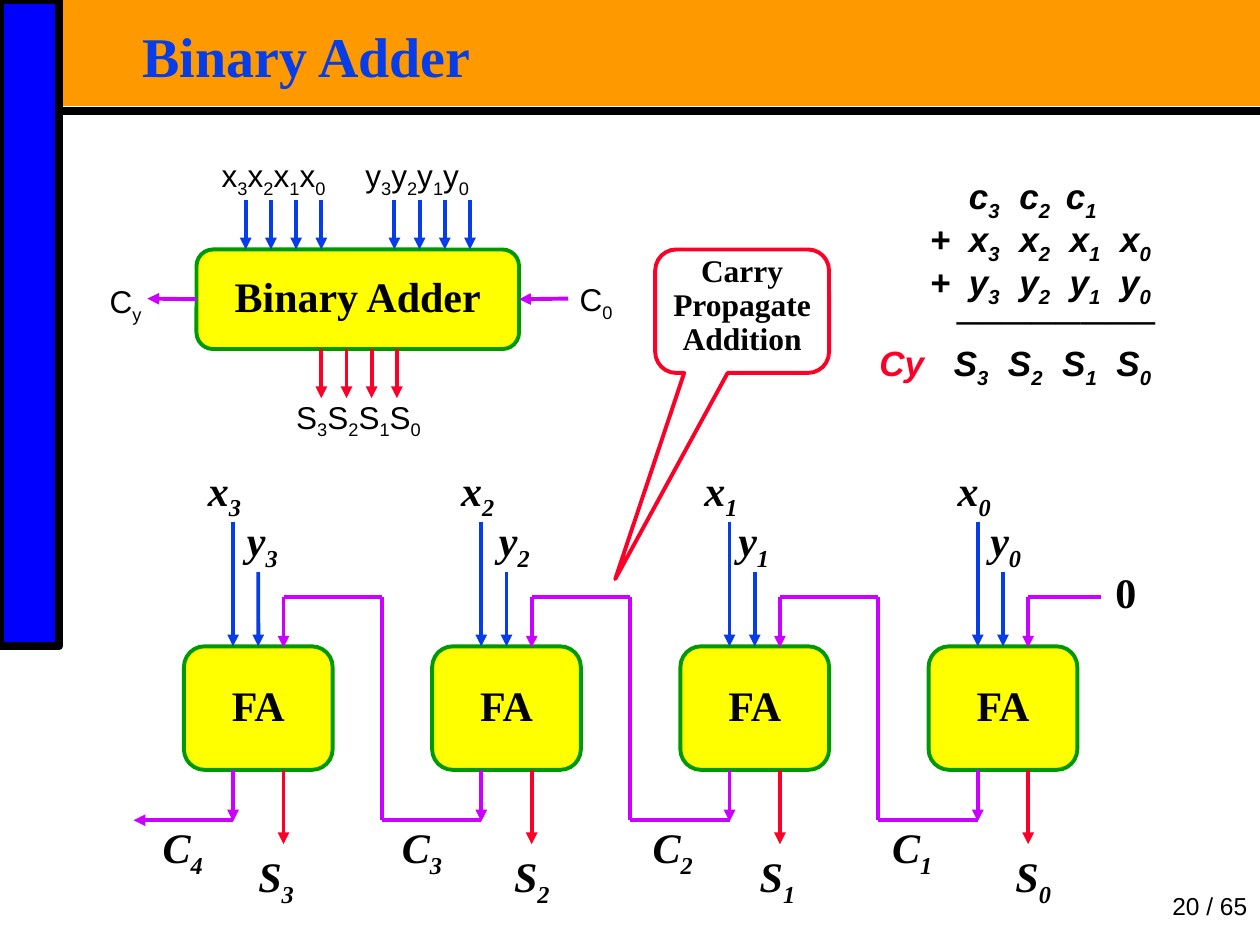
from lxml.etree import SubElement
from pptx import Presentation
from pptx.dml.color import RGBColor
from pptx.enum.shapes import MSO_CONNECTOR, MSO_SHAPE
from pptx.enum.text import MSO_ANCHOR, MSO_AUTO_SIZE, PP_ALIGN
from pptx.oxml.ns import qn
from pptx.util import Inches, Pt

HUES = {
    "band": "FF9900", "side": "0000FF", "ink": "000000", "blue": "063DE8",
    "red": "FC0128", "pink": "CC00FF", "green": "009900", "box": "FFFF00",
}
HUES = {name: RGBColor.from_string(code) for name, code in HUES.items()}
SERIF, SANS = "Times New Roman", "Arial"
LEFT, MID, RIGHT = PP_ALIGN.LEFT, PP_ALIGN.CENTER, PP_ALIGN.RIGHT


def put(shape, rows, size, face, align=LEFT, bold=True, slant=False):
    frame = shape.text_frame
    frame.word_wrap = True
    frame.margin_left = frame.margin_right = 0
    frame.margin_top = frame.margin_bottom = 0
    for i, (text, stops) in enumerate(rows):
        para = frame.add_paragraph() if i else frame.paragraphs[0]
        if stops:
            tabs = SubElement(para._p.get_or_add_pPr(), qn("a:tabLst"))
            for stop in stops:
                SubElement(tabs, qn("a:tab"), pos=str(Inches(stop)), algn="l")
        para.alignment, para.line_spacing = align, 0.9
        font = para.font
        font.size, font.name, font.bold, font.italic = Pt(size), face, bold, slant
        font.color.rgb = HUES["ink"]
        for chunk in text.split("|"):
            head, *parts = chunk.split("_")
            if head:
                para.add_run().text = head
            for part in parts:
                sub = para.add_run()
                sub.text = part[0]
                sub._r.get_or_add_rPr().set("baseline", "-25000")
                if part[1:]:
                    para.add_run().text = part[1:]


def link(x1, y1, x2, y2, hue, tip=True, width=2.25):
    line = shapes.add_connector(
        MSO_CONNECTOR.STRAIGHT, Inches(x1), Inches(y1), Inches(x2), Inches(y2))
    line.line.color.rgb, line.line.width = HUES[hue], Pt(width)
    if tip:
        SubElement(line.line._get_or_add_ln(), qn("a:tailEnd"), type="triangle")
    SubElement(line._element.spPr, qn("a:effectLst"))
    return line


deck = Presentation()
deck.slide_width, deck.slide_height = Inches(10), Inches(7.5)
slide = deck.slides.add_slide(deck.slide_layouts[5])
shapes = slide.shapes

band = shapes.add_shape(MSO_SHAPE.RECTANGLE, Inches(0.47), 0, Inches(9.53), Inches(0.84))
band.line.fill.background()
side = shapes.add_shape(MSO_SHAPE.RECTANGLE, 0, 0, Inches(0.47), Inches(5.13))
side.line.color.rgb, side.line.width = HUES["ink"], Pt(4.5)
for bar, hue in ((band, "band"), (side, "side")):
    bar.shadow.inherit = False
    bar.fill.solid()
    bar.fill.fore_color.rgb = HUES[hue]
link(0.47, 0.88, 10, 0.88, "ink", False, 4.5)

title = shapes.title
title.left, title.top, title.width, title.height = map(Inches, (1.06, 0.21, 8.66, 0.52))
put(title, [("Binary Adder", ())], 32, SERIF)
title.text_frame.margin_left = title.text_frame.margin_right = Inches(0.07)
title.text_frame.auto_size = MSO_AUTO_SIZE.NONE
title.text_frame.vertical_anchor = MSO_ANCHOR.MIDDLE
title.text_frame.paragraphs[0].font.color.rgb = HUES["blue"]
shapes._spTree.append(title._element)

pitch, first, wide = 1.97, 1.46, 1.18
blocks = [("FA", first + pitch * i, 5.13, wide, 0.98) for i in range(4)]
blocks.append(("Binary Adder", 1.56, 1.98, 2.56, 0.79))
made = []
for text, *spot in blocks:
    block = shapes.add_shape(MSO_SHAPE.ROUNDED_RECTANGLE, *map(Inches, spot))
    block.shadow.inherit = False
    block.fill.solid()
    block.fill.fore_color.rgb = HUES["box"]
    block.line.color.rgb, block.line.width = HUES["green"], Pt(2.25)
    block.text_frame.vertical_anchor = MSO_ANCHOR.MIDDLE
    put(block, [(text, ())], 24, SERIF, MID)
    made.append(block)
*cells, adder = made

for i, cell in enumerate(cells):
    mid = first + pitch * i + wide / 2
    west, east = mid - 0.2, mid + 0.2
    link(west, 4.14, west, 5.13, "blue")
    link(mid, 4.54, mid, 5.13, "blue").end_connect(cell, 0)
    link(east, 4.74, east, 5.14, "pink")
    link(east, 6.11, east, 6.7, "red")
    link(west, 6.11, west, 6.52, "pink")
    link(west, 6.51, west - 0.79, 6.51, "pink", i == 0)
    if i:
        link(west - 0.79, 6.51, west - 0.79, 4.74, "pink", False)
        link(west - 0.79, 4.74, east - pitch, 4.74, "pink", False)
link(8.74, 4.74, east, 4.74, "pink", False)

for start, top, end, hue in (
        (1.95, 1.59, 1.98, "blue"), (3.13, 1.59, 1.98, "blue"), (2.55, 2.77, 3.16, "red")):
    for i in range(4):
        x = start + 0.2 * i
        link(x, top, x, end, hue)
link(4.51, 2.37, 4.12, 2.37, "pink").end_connect(adder, 3)
link(1.56, 2.37, 1.17, 2.37, "pink").begin_connect(adder, 1)

serif = (24, SERIF, LEFT, True, True)
sans = (18, SANS, LEFT, False)
notes = [
    ("x_3\tx_2\tx_1\tx_0", (2.01, 3.94, 5.95), 1.65, 3.69, 6.5, 0.36, serif),
    ("y_3\ty_2\ty_1\ty_0", (2, 3.9, 5.9), 1.96, 4.09, 6.5, 0.36, serif),
    ("S_3\tS_2\tS_1\tS_0", (2.03, 3.98, 6.01), 2.05, 6.76, 6.5, 0.36, serif),
    ("C_4\tC_3\tC_2\tC_1", (1.9, 3.89, 5.79), 1.29, 6.53, 6.5, 0.36, serif),
    ("0", (), 8.74, 4.54, 0.39, 0.36, (24, SERIF, MID)),
    ("x_3x_2x_1x_0\ty_3y_2y_1y_0", (1.14,), 1.76, 1.24, 2.36, 0.27, sans),
    ("S_3S_2S_1S_0", (), 2.35, 3.16, 1.18, 0.27, sans),
    ("C_0", (), 4.6, 2.23, 0.39, 0.27, sans),
    ("C_y", (), 0.87, 2.24, 0.39, 0.27, sans),
    ("20 / 65", (), 8.69, 7.1, 1.21, 0.27, (14, SANS, RIGHT, False)),
]
for text, stops, *spot, style in notes:
    put(shapes.add_textbox(*map(Inches, spot)), [(text, stops)], *style)

cols = (0.61, 0.92, 1.32, 1.72, 2.12)
sums = [
    ("\t\tc_3\tc_2\tc_1", (0.61, 0.92, 1.32, 1.69)),
    ("\t+\tx_3\tx_2\tx_1\tx_0", cols),
    ("\t+\ty_3\ty_2\ty_1\ty_0", cols),
    ("────────", ()),
    ("\tCy|\tS_3\tS_2\tS_1\tS_0", (0.21, 0.8, 1.23, 1.66, 2.09)),
]
total = shapes.add_textbox(Inches(6.77), Inches(1.39), Inches(2.4), Inches(1.5))
put(total, sums, 20, SANS, slant=True)
rule, last = total.text_frame.paragraphs[3:]
rule.alignment = RIGHT
last.runs[0].font.color.rgb = HUES["red"]

call = shapes.add_shape(
    MSO_SHAPE.ROUNDED_RECTANGULAR_CALLOUT, Inches(5.2), Inches(1.98), Inches(1.38), Inches(0.98))
for i, value in enumerate((-0.73, 2.17, 0.17)):
    call.adjustments[i] = value
call.shadow.inherit = False
call.fill.background()
call.line.color.rgb, call.line.width = HUES["red"], Pt(2.25)
call.text_frame.vertical_anchor = MSO_ANCHOR.TOP
put(call, [("Carry Propagate Addition", ())], 18, SERIF, MID)

deck.save("out.pptx")
